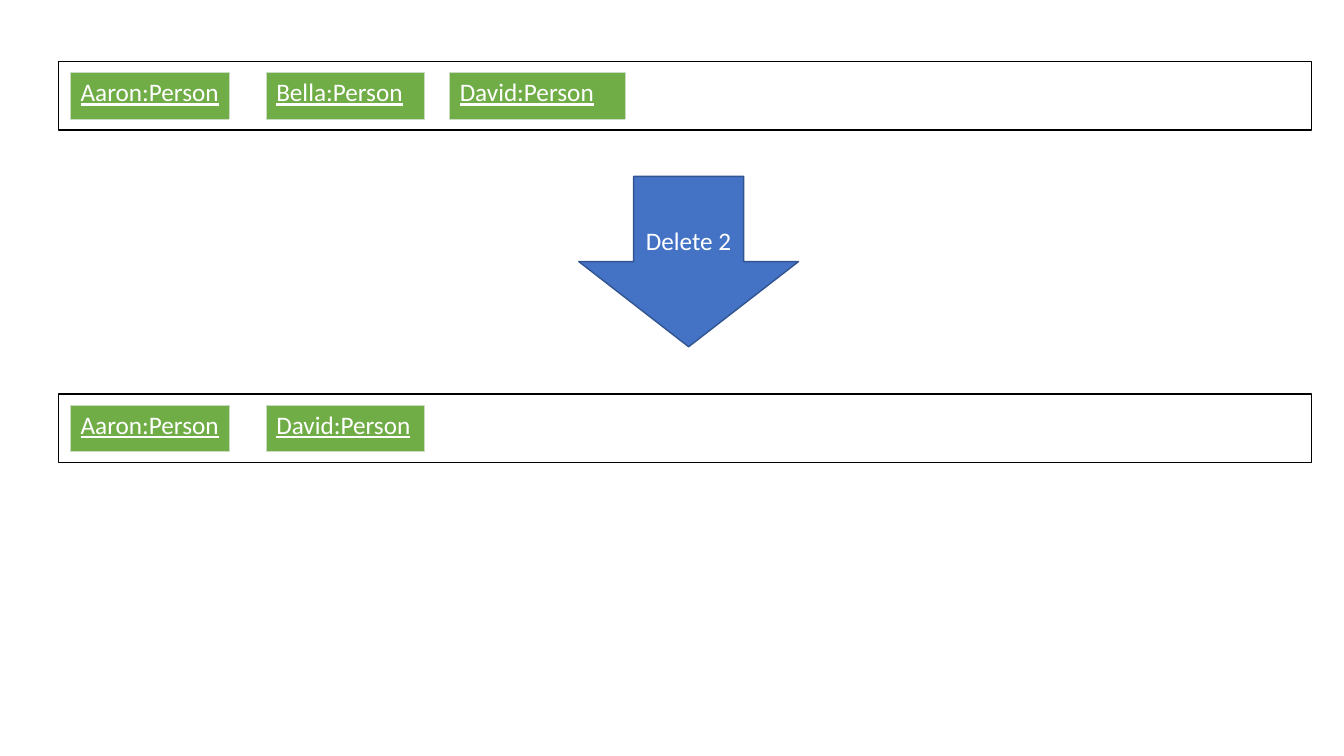
import pptx
import pptx.dml.color
import pptx.enum.shapes
import pptx.enum.text
import pptx.oxml
import pptx.oxml.ns
import pptx.util
from pptx.util import Inches

RGBColor = pptx.dml.color.RGBColor
WHITE = RGBColor(0xFF, 0xFF, 0xFF)
BLACK = RGBColor(0x00, 0x00, 0x00)
GREEN = RGBColor(0x70, 0xAD, 0x47)
PALE_GREEN = RGBColor(0xC9, 0xDB, 0xC1)
BLUE = RGBColor(0x44, 0x72, 0xC4)
DARK_BLUE = RGBColor(0x32, 0x54, 0x91)

LEFT = pptx.enum.text.PP_ALIGN.LEFT
CENTER = pptx.enum.text.PP_ALIGN.CENTER
SHAPES = pptx.enum.shapes.MSO_SHAPE

LIST_LEFT, LIST_WIDTH, LIST_HEIGHT = 0.58, 12.43, 0.68
PERSON_INSET, PERSON_HEIGHT = 0.11, 0.46


def write_text(frame, text, size=18, color=WHITE, align=LEFT, underline=False):
    paragraph = frame.paragraphs[0]
    paragraph.alignment = align
    run = paragraph.add_run()
    run.text = text
    run.font.name = "Calibri"
    run.font.size = pptx.util.Pt(size)
    run.font.color.rgb = color
    run.font.underline = underline


def add_outlined_shape(slide, kind, left, top, width, height, line):
    shape = slide.shapes.add_shape(
        kind, Inches(left), Inches(top), Inches(width), Inches(height))
    shape.shadow.inherit = False
    shape.fill.background()
    shape.line.color.rgb = line
    shape.line.width = pptx.util.Pt(1)
    return shape


def set_borders(cell, color, points):
    properties = cell._tc.get_or_add_tcPr()
    for position, side in enumerate(("lnL", "lnR", "lnT", "lnB")):
        border = pptx.oxml.parse_xml(
            f'<a:{side} {pptx.oxml.ns.nsdecls("a")} w="{pptx.util.Pt(points)}">'
            f'<a:solidFill><a:srgbClr val="{color}"/></a:solidFill></a:{side}>')
        properties.insert(position, border)


def add_person(slide, name, left, top, width):
    table = slide.shapes.add_table(
        1, 1, Inches(left), Inches(top), Inches(width), Inches(PERSON_HEIGHT)).table
    table.first_row = False
    table.horz_banding = False
    cell = table.cell(0, 0)
    cell.fill.solid()
    cell.fill.fore_color.rgb = GREEN
    set_borders(cell, PALE_GREEN, 0.5)
    write_text(cell.text_frame, f"{name}:Person", underline=True)


def add_person_list(slide, top, people):
    add_outlined_shape(
        slide, SHAPES.RECTANGLE, LIST_LEFT, top, LIST_WIDTH, LIST_HEIGHT, BLACK)
    for name, offset, width in people:
        add_person(slide, name, LIST_LEFT + offset, top + PERSON_INSET, width)


def add_command_arrow(slide, command, left, top, width, height):
    arrow = add_outlined_shape(
        slide, SHAPES.DOWN_ARROW, left, top, width, height, DARK_BLUE)
    arrow.fill.solid()
    arrow.fill.fore_color.rgb = BLUE
    arrow.text_frame.vertical_anchor = pptx.enum.text.MSO_ANCHOR.MIDDLE
    write_text(arrow.text_frame, command, align=CENTER)


def main():
    presentation = pptx.Presentation()
    presentation.slide_width = Inches(13.33)
    presentation.slide_height = Inches(7.5)
    slide = presentation.slides.add_slide(presentation.slide_layouts[6])

    add_person_list(slide, 0.61, [
        ("Aaron", 0.12, 1.57), ("Bella", 2.06, 1.57), ("David", 3.88, 1.74)])
    add_command_arrow(slide, "Delete 2", 5.74, 1.75, 2.18, 1.69)
    add_person_list(slide, 3.91, [("Aaron", 0.12, 1.57), ("David", 2.06, 1.57)])

    presentation.save("out.pptx")


if __name__ == "__main__":
    main()
